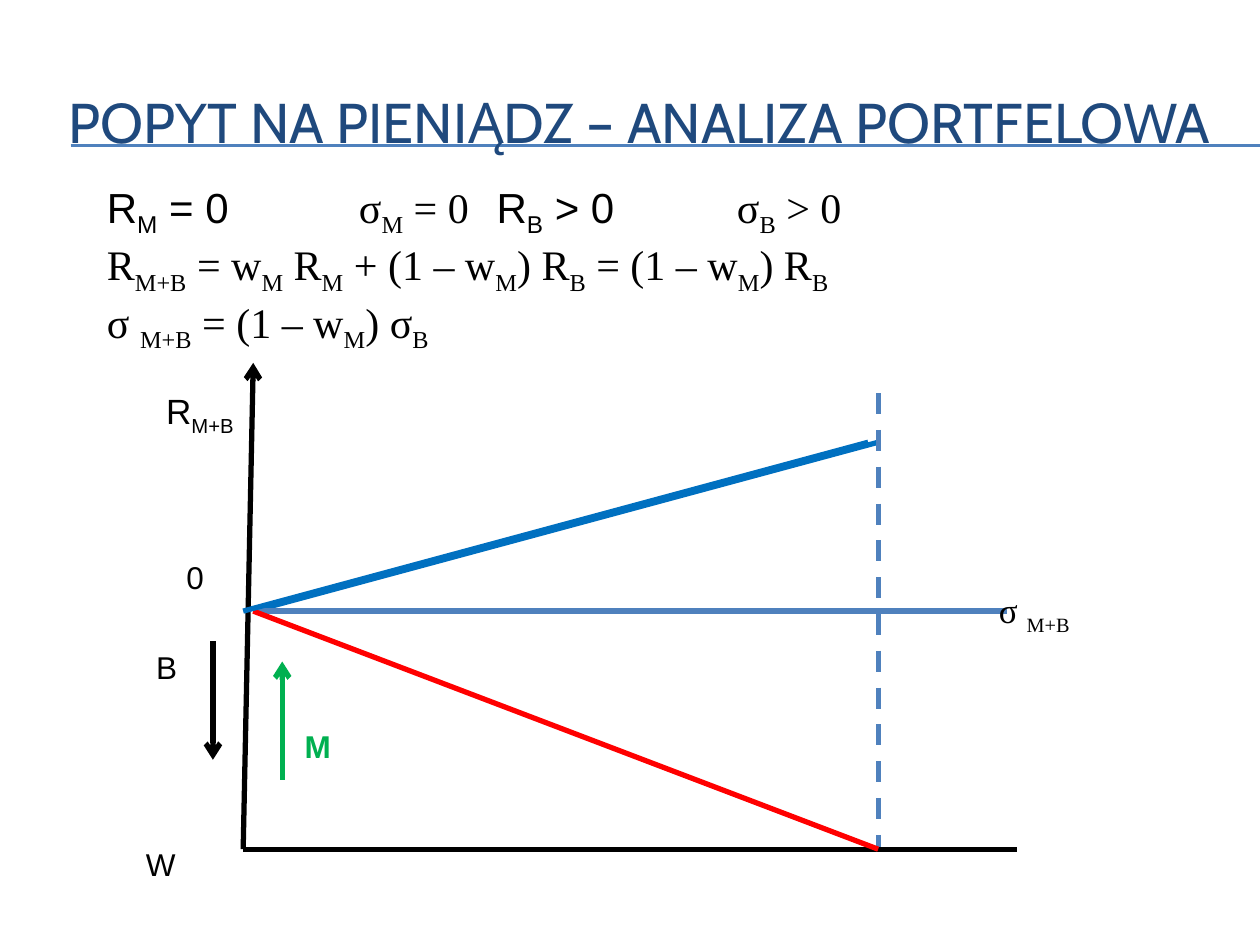
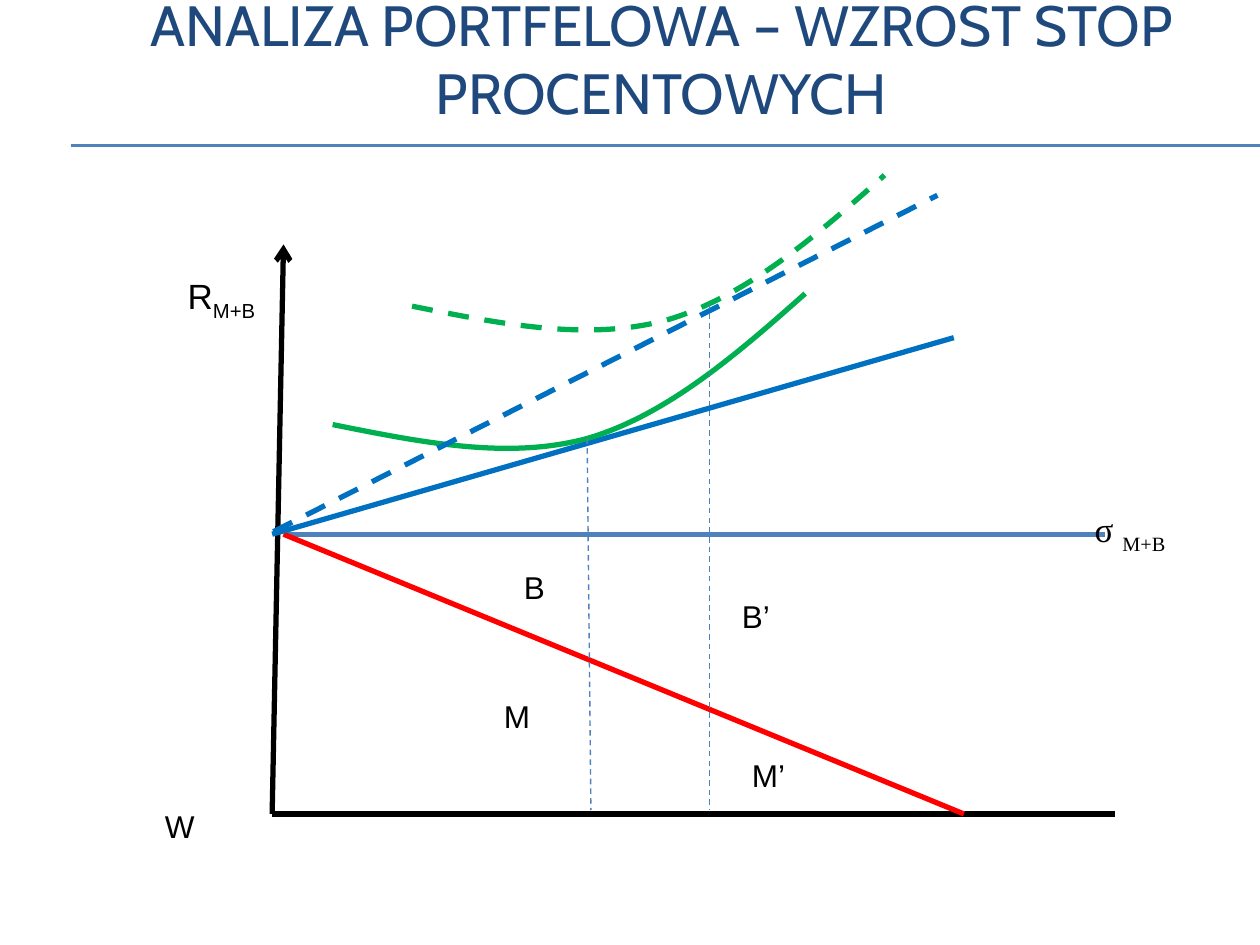
from lxml import etree
from pptx import Presentation
from pptx.dml.color import RGBColor
from pptx.enum.dml import MSO_LINE
from pptx.enum.shapes import MSO_CONNECTOR
from pptx.enum.text import MSO_ANCHOR, MSO_AUTO_SIZE, PP_ALIGN
from pptx.oxml.ns import qn
from pptx.util import Pt

STRAIGHT = MSO_CONNECTOR.STRAIGHT
DASH = MSO_LINE.DASH
MIDDLE = MSO_ANCHOR.MIDDLE
CENTER = PP_ALIGN.CENTER
NO_AUTOFIT = MSO_AUTO_SIZE.NONE

PX = 9144  # EMU per px, 100 px to the inch
TITLE_ONLY = 5
SANS, SERIF, TITLE_FONT = "Arial", "Times New Roman", "Cabin"
COLORS = {
    "title": "1F497D",
    "accent": "4F81BD",
    "text": "000000",
    "return": "0070C0",
    "wealth": "FF0000",
    "money": "00B050",
}


def px(*lengths):
    return [round(length) * PX for length in lengths]


def rgb(name):
    return RGBColor.from_string(COLORS[name])


def add_line(slide, start, end, color, width=3, dashed=False, arrow=False):
    line = slide.shapes.add_connector(STRAIGHT, *px(*start, *end))
    line.line.color.rgb = rgb(color)
    line.line.width = Pt(width)
    if dashed:
        line.line.dash_style = DASH
    if arrow:
        etree.SubElement(line.line._get_or_add_ln(), qn("a:tailEnd"), type="arrow")
    etree.SubElement(line.element.spPr, qn("a:effectLst"))
    return line


def add_runs(paragraph, text, size, font=SANS, color="text", bold=False):
    """Add text run by run; parts in braces become subscripts."""
    for i, part in enumerate(text.replace("}", "{").split("{")):
        if not part:
            continue
        run = paragraph.add_run()
        run.text = part
        run.font.size = Pt(size)
        run.font.name = font
        run.font.bold = bold
        run.font.color.rgb = rgb(color)
        if i % 2:
            run.font._element.set("baseline", "-25000")


def add_box(slide, left, top, width, height):
    frame = slide.shapes.add_textbox(*px(left, top, width, height)).text_frame
    frame.word_wrap = True
    return frame


def add_label(slide, text, left, top, width, height=40, size=18, **style):
    frame = add_box(slide, left, top, width, height)
    add_runs(frame.paragraphs[0], text, size, **style)


def add_curve(slide, points, dashed=False):
    """Draw a Bezier curve: a start point, then three points per segment."""
    builder = slide.shapes.build_freeform(*points[0], scale=PX)
    builder.add_line_segments(points[1:], close=False)
    curve = builder.convert_to_shape()
    curve.shadow.inherit = False
    curve.fill.background()
    curve.line.color.rgb = rgb("money")
    curve.line.width = Pt(3)
    if dashed:
        curve.line.dash_style = DASH
    path = next(curve.element.iter(qn("a:path")))
    steps = path.findall(qn("a:lnTo"))
    for i in range(0, len(steps), 3):
        segment = etree.SubElement(path, qn("a:cubicBezTo"))
        for step in steps[i:i + 3]:
            segment.append(step[0])
            path.remove(step)


def add_title(slide, text, left, top, size):
    title = slide.shapes.title
    title.left, title.top, title.width, title.height = px(left, top, 950, 92)
    frame = title.text_frame
    frame.auto_size = NO_AUTOFIT
    frame.vertical_anchor = MIDDLE
    frame.paragraphs[0].alignment = CENTER
    add_runs(frame.paragraphs[0], text, size, font=TITLE_FONT, color="title")


def add_title_rule(slide):
    """Draw the double rule and hand it to the layout, behind every title."""
    for y in (115, 116):
        rule = add_line(slide, (56, y), (1000, y), "accent", 0.75)
        slide.slide_layout.shapes.element.append(rule.element)


def add_formulas(slide):
    frame = add_box(slide, 75, 139, 638, 131)
    parameters = frame.paragraphs[0]
    tabs = etree.SubElement(parameters._p.get_or_add_pPr(), qn("a:tabLst"))
    for stop in (200, 300, 500):
        etree.SubElement(tabs, qn("a:tab"), pos=str(stop * PX), algn="l")
    for font, text in ((SANS, "R{M} = 0 \t"), (SERIF, "σ{M} = 0\t"),
                       (SANS, " R{B} > 0 \t"), (SERIF, "σ{B} > 0")):
        add_runs(parameters, text, 24, font)
    for formula in ("R{M+B} = w{M} R{M} + (1 – w{M}) R{B} = (1 – w{M}) R{B}",
                    "σ {M+B} = (1 – w{M}) σ{B}"):
        add_runs(frame.add_paragraph(), formula, 24, SERIF)


def add_portfolio_axes(slide, left, top, x_scale=1.0, y_scale=1.0):
    """Draw return, risk and wealth axes, scaled from the upper left corner."""
    def at(x, y):
        return left + x * x_scale, top + y * y_scale

    def axis_label(text, x, y, width, height, size, font=SANS):
        add_label(slide, text, *at(x, y), width * x_scale, height * y_scale,
                  size, font=font)

    zero, base = 197, 386
    add_line(slide, at(0, base), at(8, 0), "text", arrow=True)
    add_line(slide, at(0, base), at(614, base), "text")
    add_line(slide, at(8, zero), at(606, zero), "accent")
    add_line(slide, at(8, zero), at(504, base), "wealth")
    axis_label("R{M+B}", -71, 16, 87, 44, 20)
    axis_label("W", -87, 378, 87, 40, 18)
    axis_label("σ {M+B}", 590, 174, 89, 44, 20, SERIF)
    add_line(slide, at(0, zero), at(496, 63), "return")


def build_portfolio_slide(slide):
    add_title(slide, "POPYT NA PIENIĄDZ – ANALIZA PORTFELOWA", 33, 50, 32)
    add_formulas(slide)
    add_line(slide, (201, 485), (697, 351), "return")
    add_line(slide, (697, 312), (697, 674), "accent", dashed=True)
    # Shares of bonds and money
    add_label(slide, "0", 138, 438, 55)
    add_label(slide, "B", 114, 509, 63)
    add_line(slide, (169, 509), (169, 603), "text", arrow=True)
    add_label(slide, "M", 232, 572, 94, color="money", bold=True)
    add_line(slide, (224, 619), (224, 525), "money", arrow=True)
    add_portfolio_axes(slide, 193, 288)


def build_rate_rise_slide(slide):
    add_title(slide, "ANALIZA PORTFELOWA – WZROST STÓP PROCENTOWYCH", 50, 0, 32.4)
    add_portfolio_axes(slide, 216, 194, 1.09, 1.17)
    # Indifference curves and choices before and after the rise
    indifference = [(264, 337), (334, 351), (403, 365), (466, 348),
                    (528, 330), (584, 282), (639, 233)]
    add_curve(slide, indifference)
    add_line(slide, (466, 348), (469, 643), "accent", 0.79, dashed=True)
    add_label(slide, "B", 406, 446, 47)
    add_label(slide, "M", 390, 548, 63)
    add_line(slide, (217, 422), (744, 155), "return", dashed=True)
    add_curve(slide, [(x + 63, y - 94) for x, y in indifference], dashed=True)
    add_line(slide, (563, 241), (563, 643), "accent", 0.79, dashed=True)
    add_label(slide, "B’", 579, 469, 79)
    add_label(slide, "M’", 587, 595, 47)


def main():
    prs = Presentation()
    prs.slide_width, prs.slide_height = px(1000, 750)
    layout = prs.slide_layouts[TITLE_ONLY]
    portfolio, rate_rise = [prs.slides.add_slide(layout) for _ in range(2)]
    add_title_rule(portfolio)
    build_portfolio_slide(portfolio)
    build_rate_rise_slide(rate_rise)
    prs.save("out.pptx")


if __name__ == "__main__":
    main()
